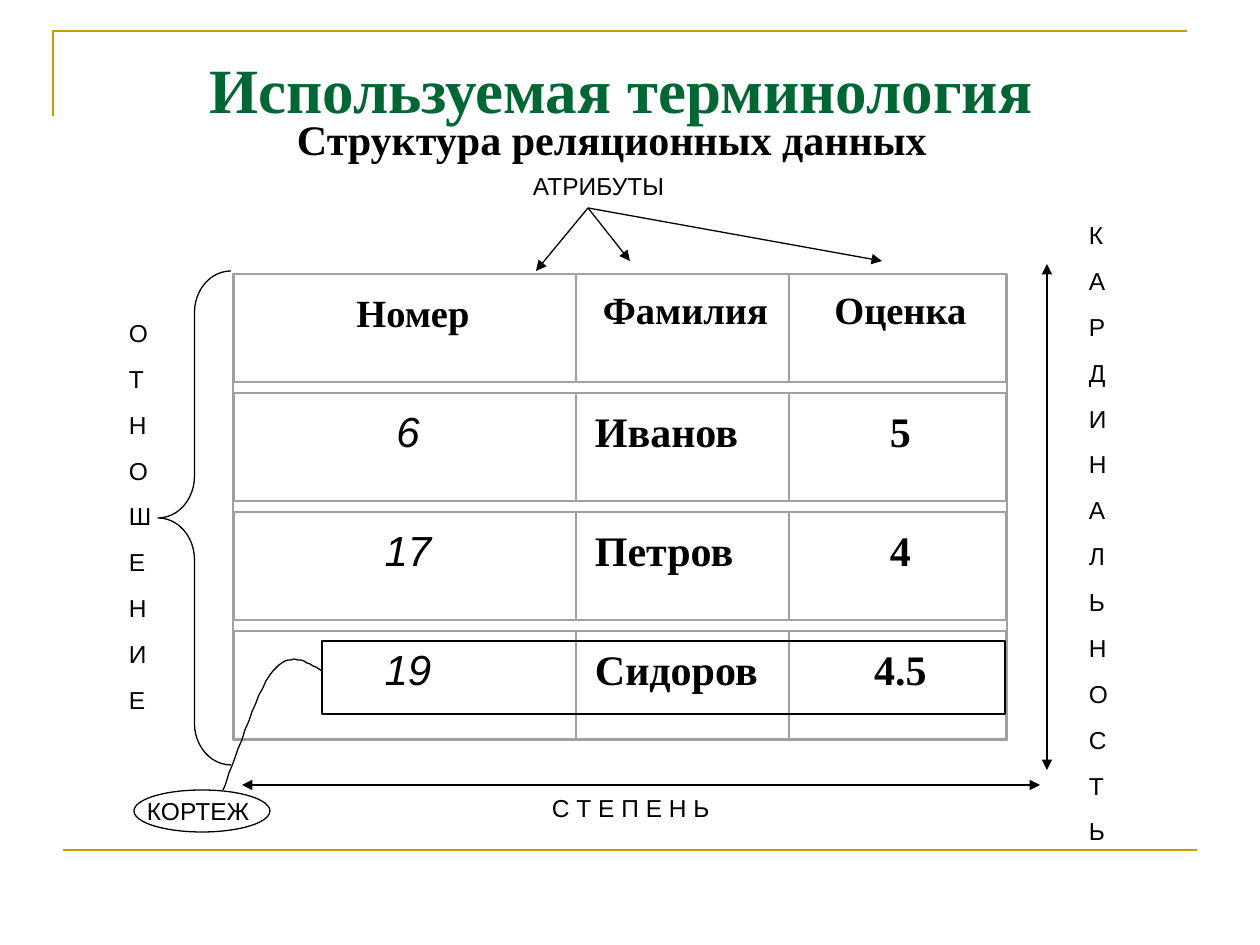
from dataclasses import dataclass

from lxml import etree
from pptx import Presentation
from pptx.dml.color import RGBColor
from pptx.enum.shapes import MSO_CONNECTOR, MSO_SHAPE
from pptx.enum.text import MSO_ANCHOR, MSO_AUTO_SIZE, PP_ALIGN
from pptx.oxml.ns import qn
from pptx.util import Pt

PX = 914400 // 126
RECT, OVAL, BRACE = MSO_SHAPE.RECTANGLE, MSO_SHAPE.OVAL, MSO_SHAPE.LEFT_BRACE
LEFT, MID = PP_ALIGN.LEFT, PP_ALIGN.CENTER
TOP, FIXED = MSO_ANCHOR.TOP, MSO_AUTO_SIZE.NONE
LINE = MSO_CONNECTOR.STRAIGHT


@dataclass
class Theme:
    gold: RGBColor = RGBColor(0xCC, 0x99, 0x00)
    green: RGBColor = RGBColor(0x00, 0x66, 0x33)
    gray: RGBColor = RGBColor(0xA0, 0xA0, 0xA0)
    black: RGBColor = RGBColor(0, 0, 0)
    serif: str = "Times New Roman"
    sans: str = "Arial"
    title: int = 36
    body: int = 24
    head: int = 22
    label: int = 14
    thin: float = 0.75
    thick: float = 1.5


T = Theme()


def write(shape, text, size=T.label, font=T.sans, color=T.black, bold=False,
          italic=False, align=LEFT, pad=(13, 6), gap=0, wrap=True):
    """Fill a shape with text; each line becomes a paragraph, pad is left and top."""
    frame = shape.text_frame
    frame.auto_size, frame.word_wrap = FIXED, wrap
    frame.vertical_anchor = TOP
    frame.margin_left, frame.margin_top = PX * pad[0], PX * pad[1]
    frame.margin_right, frame.margin_bottom = PX * 13, PX * 6
    frame.text = text
    for i, para in enumerate(frame.paragraphs):
        para.alignment = align
        para.space_before = Pt(gap if i else 0)
        face = para.font
        face.size, face.name, face.bold, face.italic = Pt(size), font, bold, italic
        face.color.rgb = color


def trace(shape, color=T.black, width=T.thin):
    """Leave only the outline of a shape."""
    shape.fill.background()
    shape.line.color.rgb = color
    shape.line.width = Pt(width)
    shape.shadow.inherit = False


deck = Presentation()
deck.slide_width, deck.slide_height = PX * 1260, PX * 945
slide = deck.slides.add_slide(deck.slide_layouts[5])
shapes = slide.shapes

# Gold corner and title
path = shapes.build_freeform(53, 116, scale=PX)
path.add_line_segments([(53, 31), (1187, 31)], close=False)
trace(path.convert_to_shape(), T.gold, T.thick)

title = shapes.title
title.left, title.top, title.width, title.height = (PX * n for n in (54, 26, 1134, 111))
write(title, "Используемая терминология", size=T.title, font=T.serif,
      color=T.green, bold=True, align=MID, pad=(13, 24))

# Relation grid: separate rows with an even gap
edges = [234, 576, 789, 1006]
rows = [
    ("Номер", "Фамилия", "Оценка"),
    ("6", "Иванов", "5"),
    ("17", "Петров", "4"),
    ("19", "Сидоров", "4.5"),
]
for r, row in enumerate(rows):
    for c, text in enumerate(row):
        box = edges[c], 274 + 119 * r, edges[c + 1] - edges[c], 108
        cell = shapes.add_shape(RECT, *(PX * n for n in box))
        trace(cell, T.gray)
        key = r > 0 and c == 0
        write(cell, text, size=T.body if r else T.head,
              font=T.sans if key else T.serif, bold=not key, italic=key,
              align=LEFT if r and c == 1 else MID,
              pad=(19 if r or c else 29, 12 if r or c else 15))

# Grid frame, brace, tuple box and tuple oval
for kind, box, color in [
    (RECT, (233, 274, 774, 466), T.gray),
    (BRACE, (158, 271, 73, 494), T.black),
    (RECT, (322, 641, 683, 73), T.black),
    (OVAL, (134, 790, 136, 42), T.black),
]:
    shape = shapes.add_shape(kind, *(PX * n for n in box))
    trace(shape, color)
    if kind == BRACE:
        shape.adjustments[0] = 0.57

# Curve from the tuple box to its label, as two cubic arcs
arcs = [
    [(322, 671), (306, 661), (289, 651), (273, 671)],
    [(273, 671), (256, 691), (232, 770), (223, 790)],
]
dots = []
for arc in arcs:
    for step in range(1, 17):
        t = step / 16
        parts = (1 - t) ** 3, 3 * t * (1 - t) ** 2, 3 * t * t * (1 - t), t ** 3
        dots.append([sum(k * p[axis] for k, p in zip(parts, arc)) for axis in (0, 1)])
path = shapes.build_freeform(*arcs[0][0], scale=PX)
path.add_line_segments(dots, close=False)
trace(path.convert_to_shape())

# Rule and arrows
fan = (588, 208)
for start, end, color, width, tips in [
    ((63, 850), (1197, 850), T.gold, T.thick, ()),
    ((242, 785), (1040, 785), T.black, T.thin, ("headEnd", "tailEnd")),
    ((1047, 264), (1047, 770), T.black, T.thin, ("headEnd", "tailEnd")),
    (fan, (536, 271), T.black, T.thin, ("tailEnd",)),
    (fan, (630, 261), T.black, T.thin, ("tailEnd",)),
    (fan, (882, 261), T.black, T.thin, ("tailEnd",)),
]:
    line = shapes.add_connector(LINE, *(PX * n for n in start + end))
    line.line.color.rgb = color
    line.line.width = Pt(width)
    props = line.element.spPr
    for tip in tips:
        etree.SubElement(props.find(qn("a:ln")), qn("a:" + tip), type="triangle")
    etree.SubElement(props, qn("a:effectLst"))

# Labels
for text, box, form in [
    ("Структура реляционных данных", (273, 108, 665, 63),
     dict(size=T.body, font=T.serif, bold=True, pad=(24, 6), wrap=False)),
    ("АТРИБУТЫ", (520, 165, 305, 43), {}),
    ("С Т Е П Е Н Ь", (399, 775, 441, 55), dict(pad=(153, 18))),
    ("КОРТЕЖ", (134, 790, 242, 43), {}),
    ("\n".join("ОТНОШЕНИЕ"), (116, 312, 66, 444), dict(gap=9.4)),
    ("\n".join("КАРДИНАЛЬНОСТЬ"), (1076, 214, 53, 668), dict(gap=9.4)),
]:
    write(shapes.add_textbox(*(PX * n for n in box)), text, **form)

deck.save("out.pptx")
